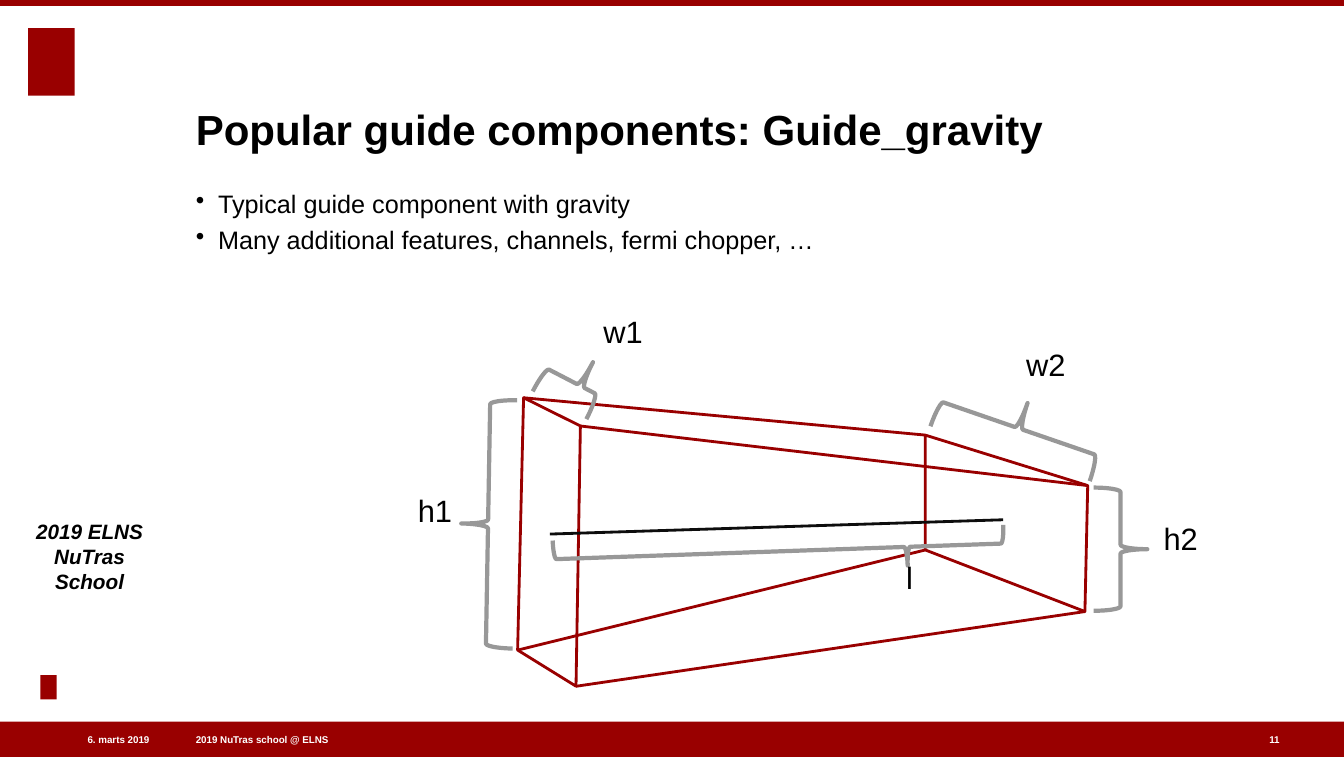
from dataclasses import dataclass

from lxml.etree import SubElement
from pptx import Presentation
from pptx.dml.color import RGBColor
from pptx.enum.shapes import MSO_CONNECTOR, MSO_SHAPE
from pptx.enum.text import MSO_ANCHOR as Anchor, PP_ALIGN as Align
from pptx.oxml.ns import qn
from pptx.util import Cm, Pt


@dataclass(frozen=True)
class Theme:
    font: str = "Arial"
    red: RGBColor = RGBColor(0x99, 0x00, 0x00)
    white: RGBColor = RGBColor(0xFF, 0xFF, 0xFF)
    black: RGBColor = RGBColor(0x00, 0x00, 0x00)
    axis: RGBColor = RGBColor(0x0D, 0x0D, 0x0D)
    brace: RGBColor = RGBColor(0x98, 0x98, 0x98)
    title_size: float = 30
    label_size: float = 22
    body_size: float = 18
    event_size: float = 14.8
    footer_size: float = 7
    edge_width: float = 2
    brace_width: float = 3


THEME = Theme()
SLIDE_WIDTH, SLIDE_HEIGHT = 33.83, 19.05
FOOTER_TOP, FOOTER_HEIGHT = 18.44, 0.36
EVENT = "2019 ELNS\vNuTras School"
BULLETS = [
    "Typical guide component with gravity",
    "Many additional features, channels, fermi chopper, …",
]

# Corners run back top, front top, front bottom, back bottom.
GUIDE_ENTRY = [(13.18, 10.01), (14.61, 10.72), (14.5, 17.27), (13.03, 16.36)]
GUIDE_EXIT = [(23.29, 10.95), (27.38, 12.22), (27.31, 15.39), (23.29, 13.84)]
BEAM_AXIS = [(13.84, 13.44), (25.25, 13.08)]

# Box, rotation, curl and tip position of each dimension brace.
BRACES = [
    ((27.53, 12.27, 1.35, 3.1), 180, 0.083, 0.5),
    ((13.72, 8.84, 1.35, 1.52), 117.4, 0.083, 0.337),
    ((24.97, 8.66, 1.35, 4.24), 109, 0.083, 0.5),
    ((11.61, 10.06, 1.35, 6.25), 1, 0.083, 0.5),
    ((19.13, 8.2, 0.94, 11.35), 268, 0.083, 0.785),
]
LABELS = {
    "w1": (15.19, 7.87),
    "h1": (10.52, 12.37),
    "w2": (25.83, 8.69),
    "h2": (29.29, 13.08),
    "l": (22.81, 14.05),
}


def to_cm(values):
    return [Cm(value) for value in values]


def add_block(slide, box):
    block = slide.shapes.add_shape(MSO_SHAPE.RECTANGLE, *to_cm(box))
    block.shadow.inherit = False
    block.fill.solid()
    block.fill.fore_color.rgb = THEME.red
    block.line.fill.background()


def add_text(slide, box, lines, size, color=THEME.black, bold=False, italic=False,
             align=Align.LEFT, anchor=Anchor.TOP, wrap=True):
    """Add a text box without margins, one paragraph a line, and return its paragraphs."""
    frame = slide.shapes.add_textbox(*to_cm(box)).text_frame
    frame.margin_left = frame.margin_right = frame.margin_top = frame.margin_bottom = 0
    frame.word_wrap = wrap
    frame.vertical_anchor = anchor
    frame.text = "\n".join(lines)
    for paragraph in frame.paragraphs:
        paragraph.alignment = align
        font = paragraph.font
        font.name, font.size, font.bold, font.italic = THEME.font, Pt(size), bold, italic
        font.color.rgb = color
    return frame.paragraphs


def add_bullets(slide, box, lines):
    for paragraph in add_text(slide, box, lines, THEME.body_size):
        paragraph.space_before = Pt(4)
        properties = paragraph._p.get_or_add_pPr()
        properties.set("marL", str(Cm(0.56)))
        properties.set("indent", str(-Cm(0.56)))
        bullet = properties.makeelement(qn("a:buChar"), {"char": "•"})
        properties.insert_element_before(bullet, "a:tabLst", "a:defRPr", "a:extLst")


def add_footer(slide, left, width, text, **options):
    add_text(slide, (left, FOOTER_TOP, width, FOOTER_HEIGHT), [text], THEME.footer_size,
             THEME.white, bold=True, anchor=Anchor.MIDDLE, **options)


def set_line(shape, color, width):
    shape.line.color.rgb = color
    shape.line.width = Pt(width)


def add_opening(slide, corners):
    """Draw one end face of the guide."""
    start, *others = [to_cm(corner) for corner in corners]
    builder = slide.shapes.build_freeform(*start)
    builder.add_line_segments(others, close=True)
    opening = builder.convert_to_shape()
    opening.shadow.inherit = False
    opening.fill.solid()
    opening.fill.fore_color.rgb = THEME.white
    set_line(opening, THEME.red, THEME.edge_width)


def add_line(slide, start, end, color):
    line = slide.shapes.add_connector(MSO_CONNECTOR.STRAIGHT, *to_cm(start), *to_cm(end))
    set_line(line, color, THEME.edge_width)
    SubElement(line._element.spPr, qn("a:effectLst"))


def add_brace(slide, box, rotation, curl, tip):
    brace = slide.shapes.add_shape(MSO_SHAPE.LEFT_BRACE, *to_cm(box))
    brace.shadow.inherit = False
    brace.rotation = rotation
    brace.adjustments[0] = curl
    brace.adjustments[1] = tip
    brace.fill.background()
    set_line(brace, THEME.brace, THEME.brace_width)


def add_frame(slide):
    """Add the bars, emblem blocks, event name and footer."""
    add_block(slide, (0, 0, SLIDE_WIDTH, 0.15))
    add_block(slide, (0, 18.16, SLIDE_WIDTH, 0.89))
    add_block(slide, (0.71, 0.71, 1.17, 1.7))
    add_block(slide, (1.02, 16.99, 0.41, 0.61))
    add_text(slide, (0.86, 12.93, 2.79, 2.01), [EVENT], THEME.event_size, bold=True,
             italic=True, align=Align.CENTER, anchor=Anchor.BOTTOM)
    add_footer(slide, 0.69, 3.07, "6. marts 2019", align=Align.RIGHT)
    add_footer(slide, 4.93, 9.45, "2019 NuTras school @ ELNS")
    add_footer(slide, 31.95, 0.36, "11", wrap=False)


def add_guide(slide):
    add_opening(slide, GUIDE_ENTRY)
    add_opening(slide, GUIDE_EXIT)
    for entry_corner, exit_corner in zip(GUIDE_ENTRY, GUIDE_EXIT):
        add_line(slide, entry_corner, exit_corner, THEME.red)
    add_line(slide, *BEAM_AXIS, THEME.axis)
    for brace in BRACES:
        add_brace(slide, *brace)
    for label, position in LABELS.items():
        add_text(slide, (*position, 3.38, 1.27), [label], THEME.label_size)


def main():
    presentation = Presentation()
    presentation.slide_width = Cm(SLIDE_WIDTH)
    presentation.slide_height = Cm(SLIDE_HEIGHT)
    slide = presentation.slides.add_slide(presentation.slide_layouts[6])
    add_frame(slide)
    add_text(slide, (4.93, 1.19, 25.86, 2.69), ["Popular guide components: Guide_gravity"],
             THEME.title_size, bold=True, anchor=Anchor.BOTTOM)
    add_bullets(slide, (4.93, 4.75, 25.86, 3.15), BULLETS)
    add_guide(slide)
    presentation.save("out.pptx")


if __name__ == "__main__":
    main()
